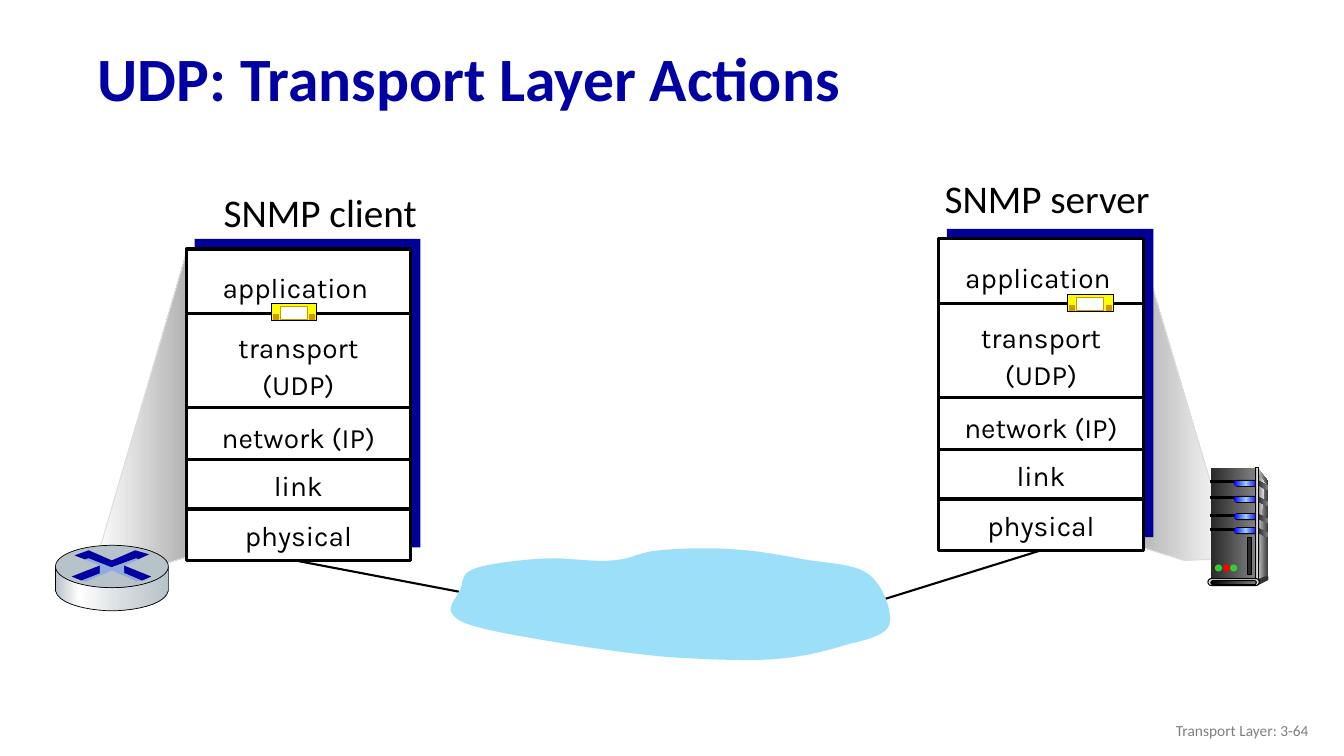
from dataclasses import dataclass

from lxml import etree
from pptx import Presentation
from pptx.dml.color import RGBColor
from pptx.enum.shapes import MSO_CONNECTOR, MSO_SHAPE
from pptx.enum.text import MSO_ANCHOR, MSO_AUTO_SIZE, PP_ALIGN
from pptx.oxml.ns import qn
from pptx.util import Inches, Pt

RECT, ELLIPSE, PILL = MSO_SHAPE.RECTANGLE, MSO_SHAPE.OVAL, MSO_SHAPE.ROUNDED_RECTANGLE
STRAIGHT = MSO_CONNECTOR.STRAIGHT
LEFT, CENTER, RIGHT = PP_ALIGN.LEFT, PP_ALIGN.CENTER, PP_ALIGN.RIGHT
TOP, MIDDLE = MSO_ANCHOR.TOP, MSO_ANCHOR.MIDDLE
GROW, FIXED = MSO_AUTO_SIZE.SHAPE_TO_FIT_TEXT, MSO_AUTO_SIZE.NONE
BOTTOM_SITE = 2


@dataclass(frozen=True)
class Theme:
    """Fonts, type sizes and colours of the slide."""
    heading: str = "Calibri"
    layer: str = "Karla"
    title_size: int = 44
    host_size: int = 28
    layer_size: int = 20
    footer_size: int = 11
    black: str = "000000"
    white: str = "FFFFFF"
    navy: str = "0000A3"
    backing: str = "000099"
    cloud: str = "9CDFF9"
    grey: str = "7F7F7F"
    mid: str = "808080"
    pale: str = "DDDDDD"
    dark: str = "333333"
    darkest: str = "292929"
    beam: str = "B2B2B2"
    router: str = "B8C2C9"
    router_mid: str = "D6DCE0"
    router_gap: str = "8FAADC"
    blue: str = "0000FF"
    sky: str = "99CCFF"
    green: str = "33CC33"
    red: str = "FF0000"
    yellow: str = "FFFF00"
    gold: str = "CC9900"


T = Theme()
VENT = ((T.darkest, 0), (T.mid, 100))
LIGHT = ((T.blue, 0), (T.sky, 50), (T.blue, 100))
LAYERS = (("application", 0.13, -0.03), ("transport\n(UDP)", 0.73, 0),
          ("network (IP)", 1.62, 0), ("link", 2.1, 0), ("physical", 2.59, 0))
DIVIDERS = (0.64, 1.57, 2.09, 2.58)
CLOUD = ((6.53, 5.46), (6.33, 5.48, 6.26, 5.55, 6.07, 5.56), (5.88, 5.58, 5.64, 5.53, 5.42, 5.54),
         (5.19, 5.55, 4.85, 5.59, 4.71, 5.64), (4.56, 5.69, 4.6, 5.79, 4.56, 5.86),
         (4.52, 5.94, 4.44, 6.02, 4.48, 6.08), (4.51, 6.14, 4.58, 6.18, 4.77, 6.23),
         (4.96, 6.28, 5.32, 6.34, 5.63, 6.39), (5.94, 6.44, 6.3, 6.49, 6.64, 6.52),
         (6.98, 6.54, 7.37, 6.56, 7.67, 6.54), (7.96, 6.52, 8.19, 6.46, 8.38, 6.4),
         (8.58, 6.35, 8.78, 6.31, 8.82, 6.2), (8.86, 6.08, 8.76, 5.81, 8.62, 5.7),
         (8.48, 5.59, 8.2, 5.59, 7.98, 5.55), (7.75, 5.51, 7.51, 5.46, 7.27, 5.45),
         (7.03, 5.43, 6.73, 5.44, 6.53, 5.46))


def paint(sp, fill, line=None, width=0.75):
    """Set a plain or gradient fill and an optional outline."""
    sp.shadow.inherit = False
    if isinstance(fill, str):
        sp.fill.solid()
        sp.fill.fore_color.rgb = RGBColor.from_string(fill)
    else:
        sp.fill.gradient()
        sp.fill.gradient_angle = 0
        stops = next(sp._element.iter(qn("a:gsLst")))
        for old in list(stops):
            stops.remove(old)
        for color, percent in fill:
            stop = etree.SubElement(stops, qn("a:gs"), pos=str(percent * 1000))
            etree.SubElement(stop, qn("a:srgbClr"), val=color)
    if line:
        sp.line.color.rgb = RGBColor.from_string(line)
        sp.line.width = Pt(width)
    else:
        sp.line.fill.background()


def shape(shapes, kind, x, y, w, h, fill, line=None, width=0.75):
    """Add a preset shape."""
    sp = shapes.add_shape(kind, Inches(x), Inches(y), Inches(w), Inches(h))
    if kind == PILL:
        sp.adjustments[0] = 0.5
    paint(sp, fill, line, width)
    return sp


def bezier(start, curve, steps=10):
    """Return points along one cubic curve."""
    points = (start, curve[:2], curve[2:4], curve[4:])
    result = []
    for i in range(1, steps + 1):
        t = i / steps
        weights = ((1 - t) ** 3, 3 * t * (1 - t) ** 2, 3 * t * t * (1 - t), t ** 3)
        result.append(tuple(sum(k * p[axis] for k, p in zip(weights, points)) for axis in (0, 1)))
    return result


def outline(shapes, path, fill, line=None, width=0.75):
    """Add a closed outline of points and six-number curves."""
    points = [path[0]]
    for part in path[1:]:
        points += [part] if len(part) == 2 else bezier(points[-1], part)
    emu = [(Inches(x), Inches(y)) for x, y in points]
    builder = shapes.build_freeform(*emu[0], scale=1.0)
    builder.add_line_segments(emu[1:], close=True)
    paint(builder.convert_to_shape(), fill, line, width)


def connector(shapes, x1, y1, x2, y2, width):
    """Add a straight black line."""
    c = shapes.add_connector(STRAIGHT, Inches(x1), Inches(y1), Inches(x2), Inches(y2))
    c.line.color.rgb = RGBColor.from_string(T.black)
    c.line.width = Pt(width)
    etree.SubElement(c._element.spPr, qn("a:effectLst"))
    return c


def text(shapes, x, y, w, h, content, size, font=T.heading, color=T.black, align=LEFT,
         anchor=TOP, spacing=None, bold=False, wrap=True, fit=FIXED):
    """Add a text box with one paragraph per line of content."""
    tf = shapes.add_textbox(Inches(x), Inches(y), Inches(w), Inches(h)).text_frame
    tf.word_wrap, tf.auto_size, tf.vertical_anchor = wrap, fit, anchor
    for i, words in enumerate(content.split("\n")):
        p = tf.add_paragraph() if i else tf.paragraphs[0]
        p.alignment, p.line_spacing = align, spacing
        r = p.add_run()
        r.text = words
        r.font.name, r.font.size, r.font.bold = font, Pt(size), bold
        r.font.color.rgb = RGBColor.from_string(color)


def stack(shapes, x, y, w):
    """Add a protocol stack and return its front box."""
    g = shapes.add_group_shape().shapes
    shape(g, RECT, x + 0.08, y - 0.1, w + 0.02, 3.06, T.backing)
    box = shape(g, RECT, x, y, w, 3.09, T.white, T.black, 2.25)
    for dy in DIVIDERS:
        connector(g, x + 0.01, y + dy, x + w, y + dy, 2.25)
    for words, dy, dx in LAYERS:
        text(g, x + 0.11 + dx, y + dy, w - 0.22, 0.81 if "\n" in words else 0.44, words,
             T.layer_size, T.layer, align=CENTER, spacing=1.1, fit=GROW)
    return box


def segment(shapes, x, y):
    """Add a yellow message icon."""
    g = shapes.add_group_shape().shapes
    shape(g, RECT, x, y, 0.45, 0.17, T.yellow, T.black)
    shape(g, RECT, x + 0.09, y + 0.03, 0.27, 0.13, T.white, T.gold)
    for dx in (0.02, 0.38):
        shape(g, RECT, x + dx, y + 0.11, 0.05, 0.05, T.gold, T.gold)


def server(shapes):
    """Add the server tower."""
    g = shapes.add_group_shape().shapes
    outline(g, ((12.48, 4.65), (12.58, 4.78), (12.57, 5.71), (12.46, 5.76)),
            ((T.pale, 0), (T.dark, 100)))
    shape(g, RECT, 12.01, 4.64, 0.44, 1.12, VENT)
    outline(g, ((12.48, 4.71), (12.48, 4.71, 12.5, 4.72, 12.55, 4.8),
                (12.48, 5.21, 12.49, 5.75, 12.48, 5.73)), ((T.mid, 0), ("F8F8F8", 100)))
    for y in (4.77, 4.93, 5.1, 5.24):
        shape(g, RECT, 12.01, y, 0.25, 0.02, T.black, T.black)
        shape(g, PILL, 12.24, y - 0.01, 0.24, 0.07, T.black)
        shape(g, PILL, 12.24, y, 0.23, 0.05, LIGHT)
        outline(g, ((12.48, y), (12.58, y + 0.05), (12.57, y + 0.09), (12.47, y + 0.04)), VENT)
    shape(g, RECT, 12.45, 4.64, 0.03, 1.12, ((T.dark, 0), (T.pale, 50), (T.dark, 100)), T.black)
    shape(g, ELLIPSE, 12.56, 5.71, 0.02, 0.05, T.dark)
    outline(g, ((12.47, 5.75), (12.47, 5.81), (12.57, 5.76), (12.57, 5.71)), T.dark)
    shape(g, PILL, 11.98, 5.74, 0.51, 0.07, T.pale, T.black)
    shape(g, PILL, 12.01, 5.76, 0.45, 0.04, ((T.black, 0), (T.mid, 100)), T.black)
    for x, color in ((12.05, T.green), (12.13, T.red), (12.2, T.green)):
        shape(g, ELLIPSE, x, 5.6, 0.07, 0.07, color)
    shape(g, RECT, 12.37, 5.33, 0.04, 0.37, T.darkest, T.black)


def router(shapes):
    """Add the router with its crossed arrows."""
    g = shapes.add_group_shape().shapes
    outline(g, ((1.67, 5.63), (1.67, 5.86), (1.64, 6.01, 1.3, 6.06, 1.11, 6.06),
                (0.93, 6.06, 0.58, 6.01, 0.55, 5.86), (0.55, 5.63),
                (0.6, 5.76, 0.92, 5.83, 1.11, 5.83), (1.29, 5.83, 1.62, 5.78, 1.67, 5.63)),
            ((T.router, 0), (T.white, 21), (T.router_mid, 60), (T.router, 100)), T.black, 0.5)
    shape(g, ELLIPSE, 0.55, 5.41, 1.12, 0.42, T.router, T.black, 0.5)
    outline(g, ((1.34, 5.46), (1.48, 5.5), (1.37, 5.55), (1.35, 5.54), (1.1, 5.63), (0.88, 5.54),
                (0.84, 5.55), (0.74, 5.51), (0.88, 5.46), (1.11, 5.56)), T.navy)
    outline(g, ((1.23, 5.61), (1.5, 5.72), (1.41, 5.76), (1.22, 5.68)), T.navy)
    outline(g, ((0.99, 5.61), (0.99, 5.69), (0.81, 5.76), (0.71, 5.72)), T.navy)
    outline(g, ((0.84, 5.55), (0.88, 5.54), (1.11, 5.63), (1.35, 5.54), (1.38, 5.55), (1.23, 5.61),
                (1.23, 5.69), (1.4, 5.76), (1.36, 5.77), (1.11, 5.66), (0.85, 5.77), (0.81, 5.76),
                (0.99, 5.69), (0.99, 5.61)), T.router_gap)


def main():
    """Build and save the slide."""
    prs = Presentation()
    prs.slide_width, prs.slide_height = Inches(13.33), Inches(7.5)
    s = prs.slides.add_slide(prs.slide_layouts[6]).shapes
    outline(s, ((12.23, 5.54), (11.29, 2.37), (11.26, 5.41), (11.75, 5.56)),
            ((T.beam, 0), (T.white, 100)), T.pale)
    server(s)
    text(s, 9.27, 1.68, 2.26, 0.57, "SNMP server", T.host_size, wrap=False, fit=GROW)
    text(s, 2.12, 1.82, 2.14, 0.57, "SNMP client", T.host_size, wrap=False, fit=GROW)
    server_box = stack(s, 9.31, 2.37, 2.03)
    text(s, 0.87, 0.32, 12.14, 0.98, "UDP: Transport Layer Actions", T.title_size,
         color=T.navy, anchor=MIDDLE, spacing=0.9, bold=True)
    connector(s, 10.33, 5.46, 8.72, 5.96, 1.5).begin_connect(server_box, BOTTOM_SITE)
    connector(s, 2.82, 5.54, 4.55, 5.87, 1.5)
    outline(s, CLOUD, T.cloud)
    outline(s, ((0.93, 5.65), (1.86, 2.47), (1.84, 5.53), (1.41, 5.66)),
            ((T.white, 0), (T.beam, 100)), T.pale)
    stack(s, 1.85, 2.47, 2.22)
    router(s)
    segment(s, 2.69, 3.01)
    segment(s, 10.59, 2.92)
    text(s, 10.08, 7.05, 3, 0.4, "Transport Layer: 3-64", T.footer_size, color=T.grey,
         align=RIGHT, anchor=MIDDLE)
    prs.save("out.pptx")


if __name__ == "__main__":
    main()
